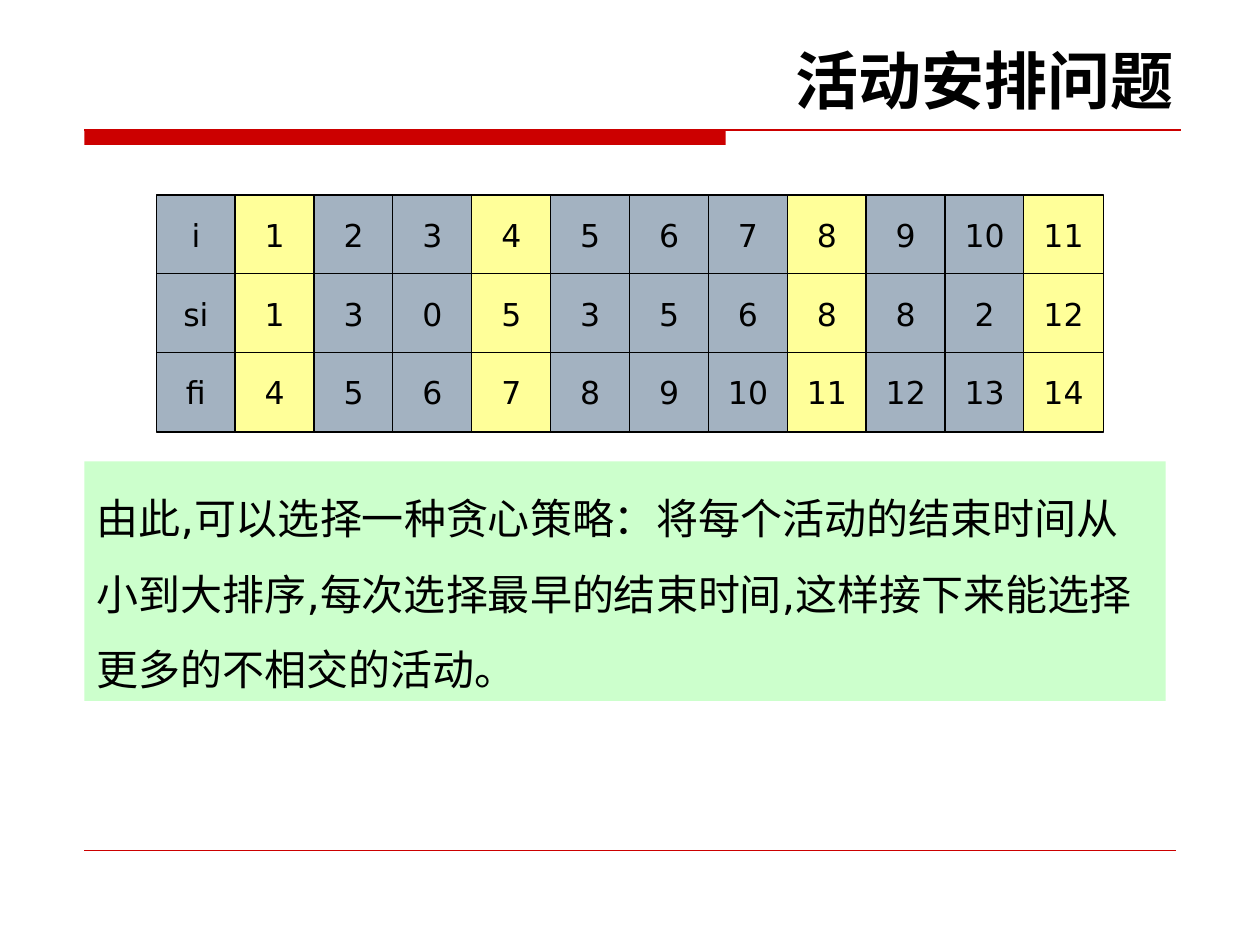
from pptx import Presentation
from pptx.dml.color import RGBColor
from pptx.enum.shapes import MSO_CONNECTOR, MSO_SHAPE
from pptx.enum.text import MSO_ANCHOR, MSO_AUTO_SIZE, PP_ALIGN
from pptx.oxml.ns import qn
from pptx.util import Cm, Pt

RECTANGLE, STRAIGHT = MSO_SHAPE.RECTANGLE, MSO_CONNECTOR.STRAIGHT
TOP, MIDDLE = MSO_ANCHOR.TOP, MSO_ANCHOR.MIDDLE
LEFT, CENTER, RIGHT = PP_ALIGN.LEFT, PP_ALIGN.CENTER, PP_ALIGN.RIGHT
FIT_SHAPE, FIXED = MSO_AUTO_SIZE.SHAPE_TO_FIT_TEXT, MSO_AUTO_SIZE.NONE

# Content
TITLE = "活动安排问题"
ACTIVITIES = [
    ("i", [1, 2, 3, 4, 5, 6, 7, 8, 9, 10, 11]),
    ("si", [1, 3, 0, 5, 3, 5, 6, 8, 8, 2, 12]),
    ("fi", [4, 5, 6, 7, 8, 9, 10, 11, 12, 13, 14]),
]
SELECTED = {1, 4, 8, 11}
STRATEGY = (
    "由此,可以选择一种贪心策略：将每个活动的结束时间从小到大排序,"
    "每次选择最早的结束时间,这样接下来能选择更多的不相交的活动。"
)

# Look and layout, lengths in centimetres
COLORS = {
    "rule": "CC0000", "text": "000000", "border": "000000",
    "cell": "A3B2C1", "selected": "FFFF99", "strategy": "CCFFCC",
}
FONT = "DejaVu Sans"
MARGIN = 1.7
RULE_TOP = 2.62
GRID_LEFT, GRID_TOP = 3.15, 3.93
CELL_STEP, CELL_SIZE = 1.59, 1.6

TITLE_TEXT = {"size": 36, "bold": True, "align": RIGHT, "anchor": TOP,
              "wrap": True, "fit": FIT_SHAPE, "spacing": 1.0}
CELL_TEXT = {"size": 18, "bold": False, "align": CENTER, "anchor": MIDDLE,
             "wrap": False, "fit": FIXED, "spacing": 1.0}
STRATEGY_TEXT = {"size": 24, "bold": False, "align": LEFT, "anchor": TOP,
                 "wrap": True, "fit": FIT_SHAPE, "spacing": 1.5}


def color(name):
    return RGBColor.from_string(COLORS[name])


def write(box, text, style):
    frame = box.text_frame
    para = frame.paragraphs[0]
    span = para.add_run()
    span.text = text
    span.font.color.rgb = color("text")
    settings = [
        (frame, {"word_wrap": style["wrap"], "auto_size": style["fit"],
                 "vertical_anchor": style["anchor"]}),
        (para, {"alignment": style["align"], "line_spacing": style["spacing"]}),
        (span.font, {"name": FONT, "size": Pt(style["size"]), "bold": style["bold"]}),
    ]
    for target, values in settings:
        for name, value in values.items():
            setattr(target, name, value)


def add_box(page, left, top, width, height, fill, border=None):
    box = page.shapes.add_shape(RECTANGLE, Cm(left), Cm(top), Cm(width), Cm(height))
    box.shadow.inherit = False
    box.fill.solid()
    box.fill.fore_color.rgb = color(fill)
    if border:
        box.line.color.rgb = color(border)
        box.line.width = Pt(0.75)
    else:
        box.line.fill.background()
    return box


def add_rule(page, right, top, width):
    rule = page.shapes.add_connector(STRAIGHT, Cm(MARGIN), Cm(top), Cm(right), Cm(top))
    rule.line.color.rgb = color("rule")
    rule.line.width = Pt(width)
    properties = rule._element.spPr
    properties.append(properties.makeelement(qn("a:effectLst"), {}))


def main():
    deck = Presentation()
    deck.slide_width, deck.slide_height = Cm(25.4), Cm(19.05)
    page = deck.slides.add_slide(deck.slide_layouts[6])

    # Rules below the title and at the foot
    add_box(page, MARGIN, RULE_TOP, 12.93, 0.3, "rule")
    add_rule(page, 23.8, RULE_TOP, 0.75)
    add_rule(page, 23.7, 17.15, 0.25)

    # Title
    title = page.shapes.add_textbox(Cm(1.3), Cm(0.71), Cm(22.6), Cm(1.78))
    write(title, TITLE, TITLE_TEXT)

    # Activity grid, with the chosen activities highlighted
    for row, (label, values) in enumerate(ACTIVITIES):
        for column, value in enumerate([label, *values]):
            fill = "selected" if column in SELECTED else "cell"
            cell = add_box(page, GRID_LEFT + column * CELL_STEP,
                           GRID_TOP + row * CELL_STEP,
                           CELL_SIZE, CELL_SIZE, fill, "border")
            write(cell, str(value), CELL_TEXT)

    # Greedy strategy
    strategy = add_box(page, MARGIN, 9.3, 21.8, 4.83, "strategy")
    write(strategy, STRATEGY, STRATEGY_TEXT)

    deck.save("out.pptx")


if __name__ == "__main__":
    main()
